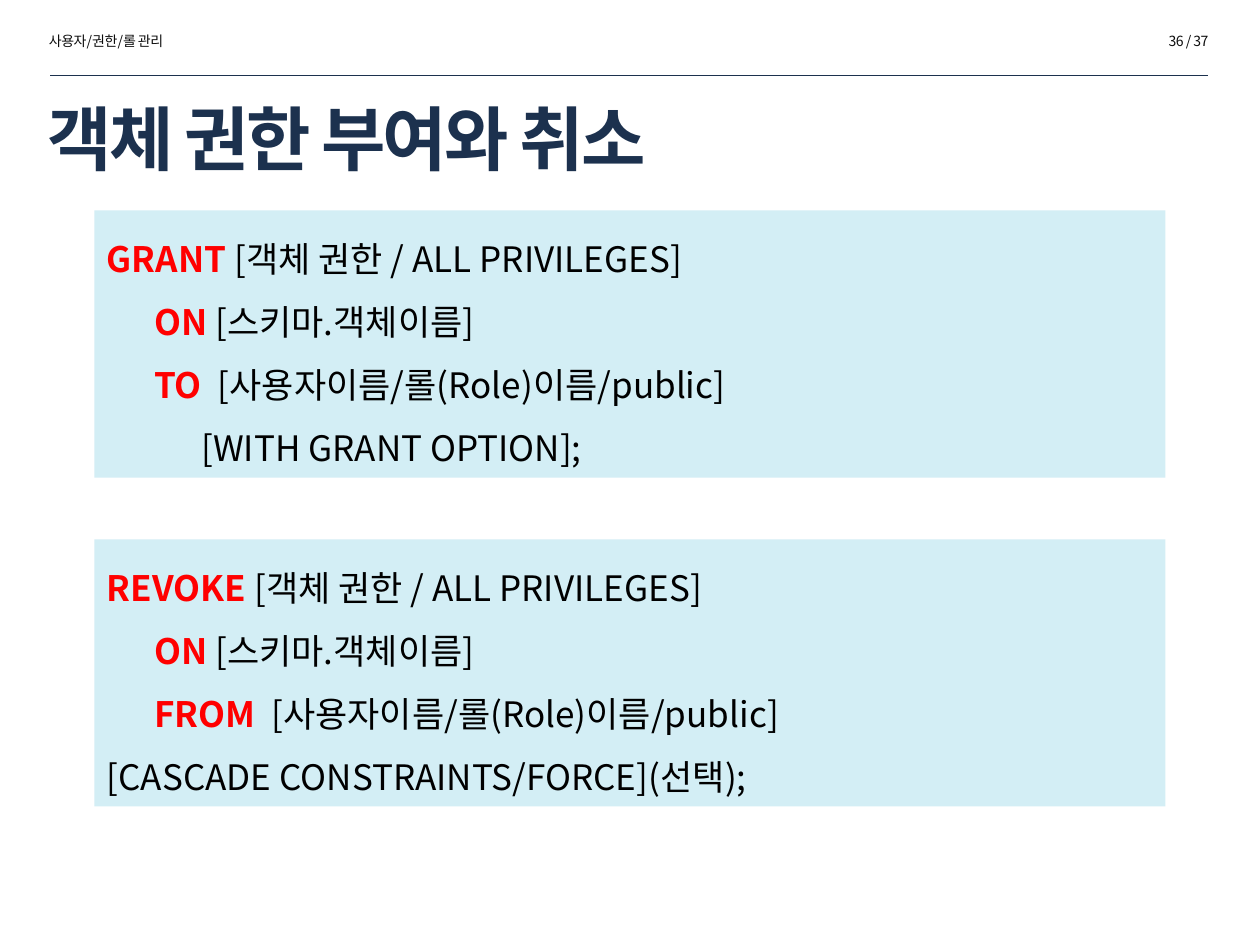
"""Build the slide on granting and revoking object privileges."""
from dataclasses import dataclass
from typing import Optional

from lxml.etree import SubElement
from pptx import Presentation
from pptx.dml.color import RGBColor
from pptx.enum.shapes import MSO_CONNECTOR, MSO_SHAPE
from pptx.enum.text import MSO_ANCHOR, MSO_AUTO_SIZE, PP_ALIGN
from pptx.oxml.ns import qn
from pptx.slide import Slide
from pptx.text.text import _Run as Run
from pptx.util import Pt


@dataclass(frozen=True)
class Theme:
    font: str = "Noto Sans CJK KR"
    navy: str = "1C314E"
    header: str = "0D0D0D"
    keyword: str = "FF0000"
    body: str = "000000"
    panel: str = "D3EEF5"
    title_size: float = 40
    header_size: float = 8
    body_size: float = 20
    indent: float = 27


@dataclass(frozen=True)
class CodeLine:
    text: str
    keyword: str = ""
    level: int = 0


@dataclass(frozen=True)
class Panel:
    top: float
    lines: tuple[CodeLine, ...]


THEME = Theme()
PRIVILEGES = "[객체 권한 / ALL PRIVILEGES]"
TARGET = CodeLine("[스키마.객체이름]", "ON ", 1)
GRANTEE = " [사용자이름/롤(Role)이름/public]"
PANELS = (
    Panel(120.24, (
        CodeLine(PRIVILEGES, "GRANT "),
        TARGET,
        CodeLine(GRANTEE, "TO ", 1),
        CodeLine("[WITH GRANT OPTION];", level=2),
    )),
    Panel(308.16, (
        CodeLine(PRIVILEGES, "REVOKE "),
        TARGET,
        CodeLine(GRANTEE, "FROM ", 1),
        CodeLine("[CASCADE CONSTRAINTS/FORCE](선택);"),
    )),
)


def format_run(run: Run, size: float, color: str, bold: bool = False,
               spacing: Optional[float] = None) -> None:
    """Apply the theme font, and the given size, colour and spacing."""
    run.font.name = THEME.font
    run.font.size = Pt(size)
    run.font.bold = bold
    run.font.color.rgb = RGBColor.from_string(color)
    properties = run.font._element
    SubElement(properties, qn("a:ea")).set("typeface", THEME.font)
    if spacing is not None:
        properties.set("spc", str(round(spacing * 100)))


def draw_rule(slide: Slide) -> None:
    """Draw the thin line under the header."""
    rule = slide.shapes.add_connector(
        MSO_CONNECTOR.STRAIGHT, Pt(28.8), Pt(43.2), Pt(690.48), Pt(43.2))
    rule.line.color.rgb = RGBColor.from_string(THEME.navy)
    rule.line.width = Pt(0.25)
    SubElement(rule._element.spPr, qn("a:effectLst"))


def place_title(slide: Slide, text: str) -> None:
    """Move and format the title placeholder."""
    title = slide.shapes.title
    title.left, title.top = Pt(20.16), Pt(55.44)
    title.width, title.height = Pt(550.8), Pt(46.08)
    frame = title.text_frame
    frame.text = text
    frame.auto_size = MSO_AUTO_SIZE.NONE
    frame.vertical_anchor = MSO_ANCHOR.MIDDLE
    paragraph = frame.paragraphs[0]
    paragraph.alignment = PP_ALIGN.LEFT
    format_run(paragraph.runs[0], THEME.title_size, THEME.navy, True, -1.5)


def draw_header(slide: Slide, left: float, text: str, alignment: PP_ALIGN) -> None:
    """Draw one small text above the rule."""
    box = slide.shapes.add_textbox(Pt(left), Pt(15.12), Pt(124.56), Pt(17.28))
    frame = box.text_frame
    frame.text = text
    frame.word_wrap = True
    frame.auto_size = MSO_AUTO_SIZE.SHAPE_TO_FIT_TEXT
    paragraph = frame.paragraphs[0]
    paragraph.alignment = alignment
    format_run(paragraph.runs[0], THEME.header_size, THEME.header, spacing=-0.3)


def draw_panel(slide: Slide, panel: Panel) -> None:
    """Draw one statement as indented lines on a tinted rectangle."""
    shape = slide.shapes.add_shape(
        MSO_SHAPE.RECTANGLE, Pt(54), Pt(panel.top), Pt(612), Pt(152.64))
    shape.shadow.inherit = False
    shape.fill.solid()
    shape.fill.fore_color.rgb = RGBColor.from_string(THEME.panel)
    shape.line.fill.background()
    frame = shape.text_frame
    frame.text = "\n".join(line.keyword for line in panel.lines)
    frame.word_wrap = True
    frame.auto_size = MSO_AUTO_SIZE.SHAPE_TO_FIT_TEXT
    frame.vertical_anchor = MSO_ANCHOR.TOP
    for paragraph, line in zip(frame.paragraphs, panel.lines):
        paragraph.alignment = PP_ALIGN.LEFT
        paragraph.line_spacing = 1.5
        margin = Pt(THEME.indent * line.level)
        paragraph._p.get_or_add_pPr().set("marL", str(int(margin)))
        for run in paragraph.runs:
            format_run(run, THEME.body_size, THEME.keyword, True)
        run = paragraph.add_run()
        run.text = line.text
        format_run(run, THEME.body_size, THEME.body)


def main() -> None:
    """Build and save the presentation."""
    presentation = Presentation()
    presentation.slide_width, presentation.slide_height = Pt(720), Pt(540)
    slide = presentation.slides.add_slide(presentation.slide_layouts[5])
    draw_rule(slide)
    place_title(slide, "객체 권한 부여와 취소")
    draw_header(slide, 573.12, "36 / 37", PP_ALIGN.RIGHT)
    draw_header(slide, 20.88, "사용자/권한/롤 관리", PP_ALIGN.LEFT)
    for panel in PANELS:
        draw_panel(slide, panel)
    presentation.save("out.pptx")


if __name__ == "__main__":
    main()
